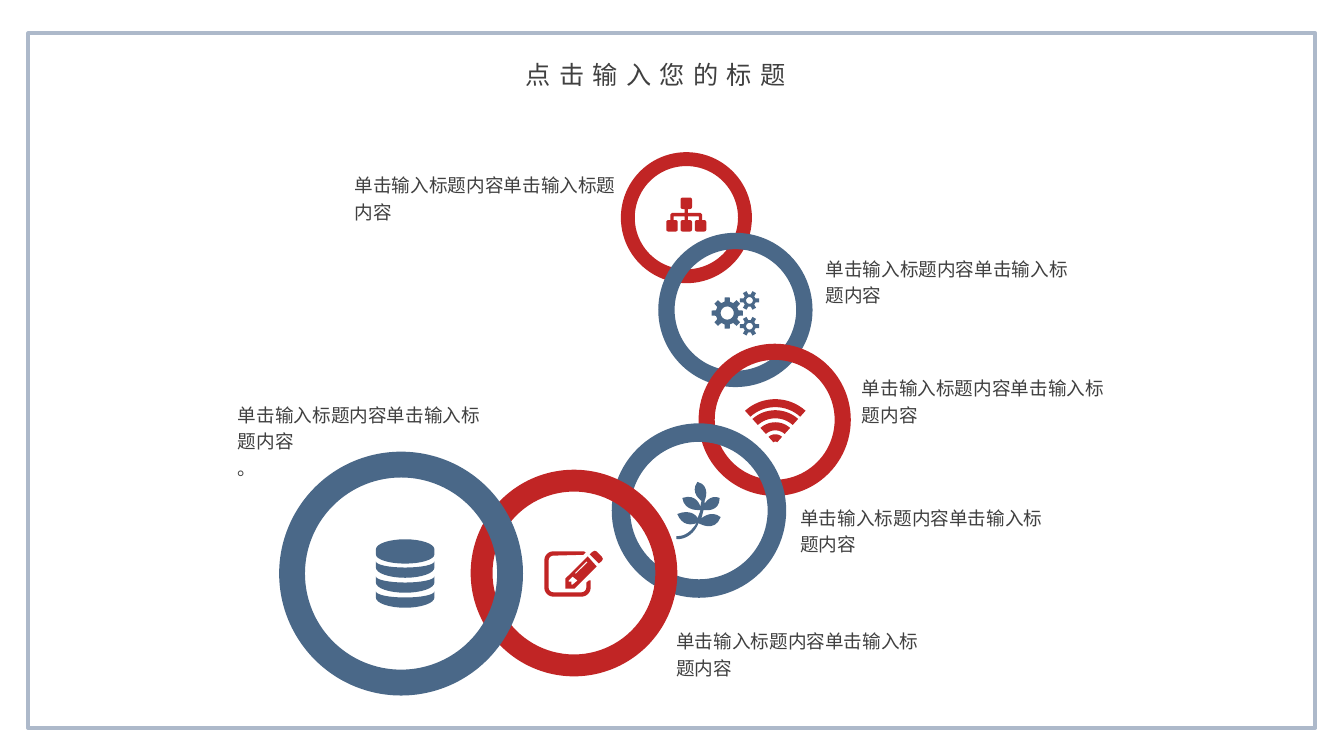
from dataclasses import dataclass
from math import cos, pi, radians, sin

from lxml import etree
from pptx import Presentation
from pptx.dml.color import RGBColor
from pptx.enum.shapes import MSO_SHAPE
from pptx.enum.text import MSO_ANCHOR, MSO_AUTO_SIZE, PP_ALIGN
from pptx.oxml.ns import qn
from pptx.util import Pt

RECTANGLE = MSO_SHAPE.RECTANGLE
DONUT = MSO_SHAPE.DONUT
TOP, MIDDLE = MSO_ANCHOR.TOP, MSO_ANCHOR.MIDDLE
LEFT, CENTER = PP_ALIGN.LEFT, PP_ALIGN.CENTER
GROW = MSO_AUTO_SIZE.SHAPE_TO_FIT_TEXT
TITLE_ONLY = 5


@dataclass(frozen=True)
class Theme:
    red: RGBColor = RGBColor(0xC1, 0x25, 0x25)
    blue: RGBColor = RGBColor(0x4A, 0x68, 0x88)
    frame: RGBColor = RGBColor(0xAD, 0xB9, 0xCA)
    ink: RGBColor = RGBColor(0x40, 0x40, 0x40)
    latin: str = "Arial"
    chinese: str = "Noto Sans CJK SC"
    title_size: float = 18
    body_size: float = 13.3


THEME = Theme()
CAPTION = "单击输入标题内容单击输入标题内容"


def set_all(target, values):
    for name, value in values.items():
        setattr(target, name, value)


def arc(cx, cy, rx, ry, start, end, steps=16):
    angles = [radians(start + (end - start) * i / steps) for i in range(steps + 1)]
    return [(cx + rx * cos(a), cy + ry * sin(a)) for a in angles]


def rounded_box(x, y, width, height, radius):
    corners = [(x + width - radius, y + height - radius), (x + radius, y + height - radius),
               (x + radius, y + radius), (x + width - radius, y + radius)]
    return [point for i, (cx, cy) in enumerate(corners)
            for point in arc(cx, cy, radius, radius, 90 * i, 90 * i + 90, 5)]


def curve(start, segments, steps=8):
    points = [start]
    for x1, y1, x2, y2, x3, y3 in segments:
        x0, y0 = points[-1]
        for i in range(1, steps + 1):
            t = i / steps
            a, b, c, d = (1 - t) ** 3, 3 * t * (1 - t) ** 2, 3 * t * t * (1 - t), t ** 3
            points.append((a * x0 + b * x1 + c * x2 + d * x3,
                           a * y0 + b * y1 + c * y2 + d * y3))
    return points


def hierarchy_icon():
    left, step, size = 475.9, 10.2, 8.2
    boxes = [(left + step, 141.1)] + [(left + step * i, 157.2) for i in range(3)]
    centres = [left + size / 2 + step * i for i in range(3)]
    first, middle, last = centres
    half, bar_top, bar_bottom, foot = 1.2, 152.1, 154.6, 157.2
    tree = [(middle - half, 149.3), (middle + half, 149.3), (middle + half, bar_top),
            (last, bar_top), (last + half, bar_top + half), (last + half, foot)]
    tree += [(last - half, foot), (last - half, bar_bottom),
             (middle + half, bar_bottom), (middle + half, foot),
             (middle - half, foot), (middle - half, bar_bottom),
             (first + half, bar_bottom), (first + half, foot), (first - half, foot),
             (first - half, bar_top + half), (first, bar_top), (middle - half, bar_top)]
    return [rounded_box(x, y, size, size, 1.5) for x, y in boxes] + [tree]


def gear(cx, cy, outer, root, hole, teeth):
    rim = []
    for i in range(teeth):
        for offset, radius in ((-110, root), (-72, outer), (72, outer), (110, root)):
            angle = radians((360 * i + offset) / teeth)
            rim.append((cx + radius * cos(angle), cy + radius * sin(angle)))
    return [rim, arc(cx, cy, hole, hole, 0, 360, 24)]


def gears_icon():
    return (gear(519.5, 223.6, 11.3, 8.3, 4.7, 8)
            + gear(535.4, 214.6, 7, 4.5, 2.4, 6)
            + gear(535.4, 233, 7, 4.5, 2.4, 6))


def wireless_icon():
    cx, cy = 553.8, 317.4
    bands = [(32.3, 26.6), (24.4, 18.6), (15.8, 10), (7.2, 2)]
    return [arc(cx, cy, outer, outer, 228, 312) + arc(cx, cy, inner, inner, 312, 228)
            for outer, inner in bands]


def sprig_icon():
    return [curve((499, 373.7), [
        (496.1, 380.9, 490.3, 385.2, 483.8, 385.2), (483.1, 385.2, 483.1, 384.5, 483.1, 383.8),
        (483.1, 383, 483.1, 383, 483.8, 383), (489.6, 383, 493.9, 379.4, 497.5, 373.7),
        (493.9, 375.1, 487.4, 375.8, 483.8, 367.2), (492.5, 363.6, 497.5, 367.9, 498.2, 370.1),
        (499, 368.6, 499.7, 366.5, 500.4, 364.3), (500.4, 364.3, 488.9, 365.8, 487.4, 355.7),
        (498.2, 352.1, 500.4, 362.2, 500.4, 362.2), (500.4, 360.7, 501.1, 357.8, 501.1, 357.8),
        (501.1, 357.8, 492.5, 352.1, 498.2, 344.2), (508.3, 347, 503.3, 357.8, 503.3, 357.8),
        (503.3, 357.8, 503.3, 359.3, 503.3, 360), (503.3, 360, 506.9, 352.8, 514.1, 355.7),
        (514.1, 366.5, 502.6, 364.3, 502.6, 364.3), (501.8, 366.5, 501.8, 369.4, 500.4, 370.8),
        (500.4, 370.8, 507.6, 363.6, 514.8, 369.4), (510.5, 380.9, 499, 373.7, 499, 373.7)])]


def edit_icon():
    corners = [(415.4, 419.7), (395.3, 419.7), (395.3, 400.3)]
    outer = [point for i, (cx, cy) in enumerate(corners)
             for point in arc(cx, cy, 6.5, 6.5, 90 * i, 90 * i + 90, 6)]
    inner = [point for i, (cx, cy) in enumerate(corners)
             for point in arc(cx, cy, 3.4, 3.4, 90 * i, 90 * i + 90, 6)]
    sheet = ([(421.9, 414.5)] + outer + [(417, 393.8), (418.3, 394.6), (416.6, 396.3)]
             + inner[::-1] + [(418.8, 416.2), (420.5, 414.7)])
    pencil = [(426.2, 404.6), (410.4, 420.5), (403.9, 420.5), (403.9, 413.3), (419.8, 397.4)]
    nib = [(412.6, 414.7), (409, 411.8), (406.1, 414.7), (406.1, 415.4),
           (408.2, 415.4), (408.2, 417.6), (409, 417.6)]
    slit = [(419, 401), (410.7, 409.3), (411.3, 409.9), (419.8, 401.6)]
    eraser = [(427.7, 402.5), (421.2, 396), (423.4, 394), (424.9, 393.4), (426.3, 394),
              (429.8, 397.5), (430.6, 399.2), (429.8, 400.8)]
    return [sheet, pencil, nib, slit, eraser]


def database_icon():
    cx, rx = 289.4, 20.9
    lid = arc(cx, 392.4, rx, 7.2, 180, 360) + arc(cx, 396, rx, 6.6, 0, 180)
    tops = [401 + 10.7 * i for i in range(3)]
    return [lid] + [arc(cx, y, rx, 4.4, 180, 0) + arc(cx, y + 4.4, rx, 7.3, 0, 180)
                    for y in tops]


def paint(shape, colour):
    shape.shadow.inherit = False
    shape.fill.solid()
    shape.fill.fore_color.rgb = colour
    shape.line.fill.background()


def add_frame(page):
    frame = page.shapes.add_shape(RECTANGLE, Pt(20.2), Pt(23.8), Pt(919.4), Pt(496.1))
    frame.shadow.inherit = False
    frame.fill.background()
    frame.line.color.rgb = THEME.frame
    frame.line.width = Pt(3)


def add_ring(page, left, top, size, colour):
    ring = page.shapes.add_shape(DONUT, Pt(left), Pt(top), Pt(size), Pt(size))
    ring.adjustments[0] = 0.106
    paint(ring, colour)


def add_icon(page, contours, colour):
    outlines = [[(Pt(x), Pt(y)) for x, y in contour] for contour in contours]
    builder = page.shapes.build_freeform(*outlines[0][0], scale=1.0)
    for number, outline in enumerate(outlines):
        if number:
            builder.move_to(*outline[0])
        builder.add_line_segments(outline[1:], close=True)
    paint(builder.convert_to_shape(), colour)


def write(box, lines, size, latin, align=LEFT, anchor=TOP, spacing=1.2, tracking=0):
    frame = box.text_frame
    set_all(frame, dict(word_wrap=True, auto_size=GROW, vertical_anchor=anchor, margin_left=0,
                        margin_top=0, margin_right=0, margin_bottom=0))
    for number, line in enumerate(lines):
        para = frame.add_paragraph() if number else frame.paragraphs[0]
        set_all(para, dict(alignment=align, line_spacing=spacing))
        span = para.add_run()
        span.text = line
        set_all(span.font, dict(name=latin, size=Pt(size), bold=False))
        span.font.color.rgb = THEME.ink
        properties = span.font._element
        etree.SubElement(properties, qn("a:ea")).set("typeface", THEME.chinese)
        if tracking:
            properties.set("spc", str(tracking * 100))


def add_title(page, text):
    title = page.shapes.title
    set_all(title, dict(left=Pt(321.1), top=Pt(42.5), width=Pt(294.5), height=Pt(21.6)))
    write(title, [text], THEME.title_size, THEME.latin, CENTER, MIDDLE, 1.0, 6)


def add_caption(page, left, top, width, lines):
    box = page.shapes.add_textbox(Pt(left), Pt(top), Pt(width), Pt(18 + 19.2 * len(lines)))
    write(box, lines, THEME.body_size, THEME.chinese)


def main():
    deck = Presentation()
    set_all(deck, dict(slide_width=Pt(960), slide_height=Pt(540)))
    page = deck.slides.add_slide(deck.slide_layouts[TITLE_ONLY])
    add_frame(page)
    add_title(page, "点击输入您的标题")
    links = [
        ((443.5, 108.7, 93.6), hierarchy_icon(), (253.4, 121, 186.5), [CAPTION]),
        ((470.2, 166.3, 110.2), gears_icon(), (589.7, 180.7, 184.3), [CAPTION]),
        ((499, 245.5, 108.7), wireless_icon(), (615.6, 266.4, 184.3), [CAPTION]),
        ((437, 302.4, 124.6), sprig_icon(), (571.7, 358.6, 184.3), [CAPTION]),
        ((336.2, 335.5, 147.6), edit_icon(), (483.1, 447.1, 184.3), [CAPTION]),
        ((199.4, 322.6, 174.2), database_icon(), (169.9, 285.1, 185.8), [CAPTION, "。"]),
    ]
    for number, (ring, contours, caption, lines) in enumerate(links):
        colour = THEME.blue if number % 2 else THEME.red
        add_ring(page, *ring, colour)
        add_icon(page, contours, colour)
        add_caption(page, *caption, lines)
    deck.save("out.pptx")


if __name__ == "__main__":
    main()
